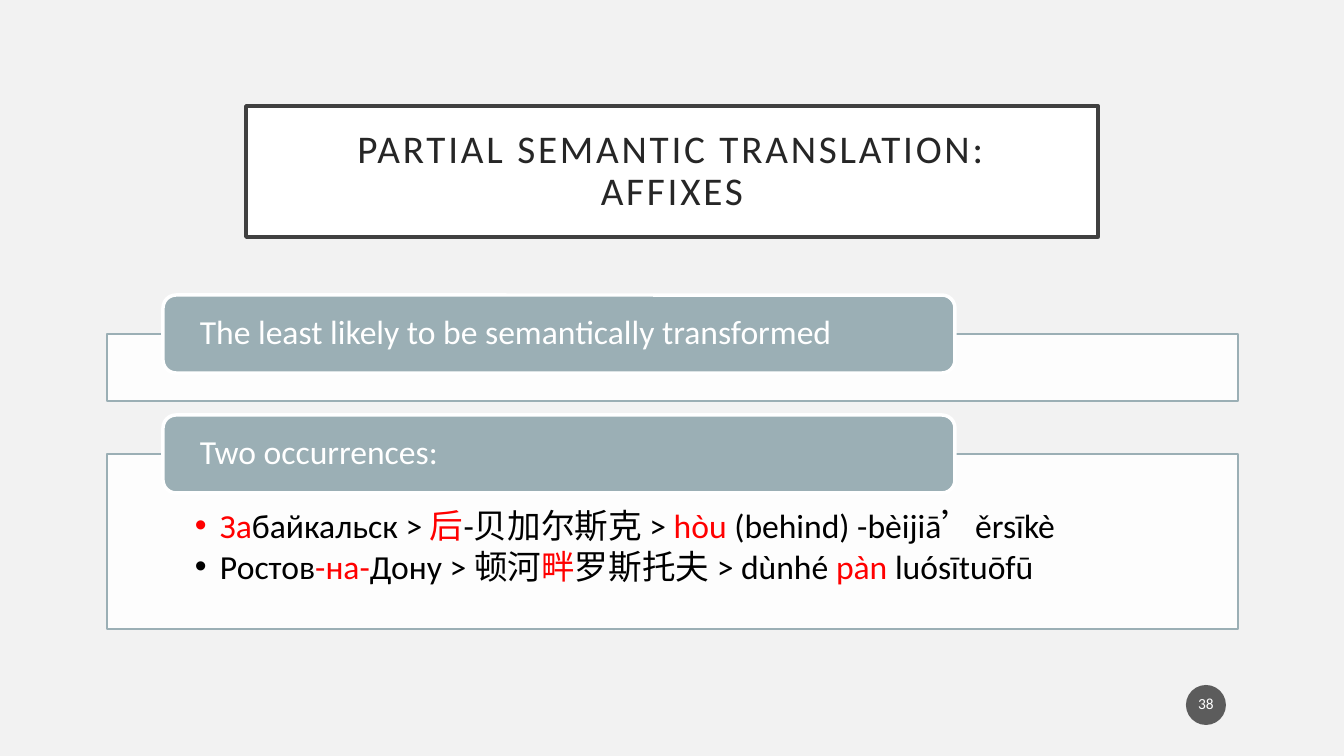
from lxml import etree
from pptx import Presentation
from pptx.dml.color import RGBColor
from pptx.enum.shapes import MSO_SHAPE
from pptx.enum.text import MSO_ANCHOR, PP_ALIGN
from pptx.oxml.ns import qn
from pptx.util import Pt

RECT, ROUNDED, OVAL = MSO_SHAPE.RECTANGLE, MSO_SHAPE.ROUNDED_RECTANGLE, MSO_SHAPE.OVAL
TOP, MIDDLE = MSO_ANCHOR.TOP, MSO_ANCHOR.MIDDLE
LEFT, CENTER = PP_ALIGN.LEFT, PP_ALIGN.CENTER

# Content
FONT = "Calibri"
RED, BLACK, WHITE, SLATE = "FF0000", "000000", "FFFFFF", "9BAFB5"
TITLE_LINES = ["PARTIAL SEMANTIC TRANSLATION:", "AFFIXES"]
PAGE_NUMBER = "38"
SECTIONS = [  # heading, box top, box height, bullets made of (text, colour)
    ("The least likely to be semantically transformed", 334, 67, []),
    ("Two occurrences:", 454, 175, [
        [("За", RED), ("байкальск > ", BLACK), ("后", RED), ("-贝加尔斯克 > ", BLACK),
         ("hòu", RED), (" (behind) -bèijiā’ěrsīkè", BLACK)],
        [("Ростов", BLACK), ("-на-", RED), ("Дону > 顿河", BLACK), ("畔", RED),
         ("罗斯托夫 > dùnhé ", BLACK), ("pàn", RED), (" luósītuōfū", BLACK)],
    ]),
]

# Layout in px
SLIDE_W, SLIDE_H = 1344, 756
BOX_X, BOX_W = 107, 1131
HEADING_X, HEADING_W, HEADING_H = 163, 792, 78
BULLET_INDENT = 25


def px(length):
    return round(length * 914400 / 100.8)


def rgb(color):
    return RGBColor.from_string(color)


def add_panel(kind, x, y, w, h, fill, line=None, line_pt=1, alpha=100,
              insets=(0, 0, 0, 0), anchor=MIDDLE):
    panel = slide.shapes.add_shape(kind, px(x), px(y), px(w), px(h))
    panel.shadow.inherit = False
    panel.fill.solid()
    panel.fill.fore_color.rgb = rgb(fill)
    if alpha < 100:
        fill_color = panel.fill._xPr.find(qn("a:solidFill"))[0]
        etree.SubElement(fill_color, qn("a:alpha"), val=str(alpha * 1000))
    if line:
        panel.line.color.rgb = rgb(line)
        panel.line.width = Pt(line_pt)
    else:
        panel.line.fill.background()
    frame = panel.text_frame
    frame.word_wrap = True
    frame.vertical_anchor = anchor
    (frame.margin_left, frame.margin_top,
     frame.margin_right, frame.margin_bottom) = map(px, insets)
    return frame


def style_paragraph(paragraph, align):
    paragraph.alignment = align
    paragraph.line_spacing = 0.9


def add_run(paragraph, text, size, color):
    run = paragraph.add_run()
    run.text = text
    run.font.name = FONT
    run.font.size = Pt(size)
    run.font.color.rgb = rgb(color)
    return run


def add_bullet(paragraph):
    properties = paragraph._p.get_or_add_pPr()
    properties.set("marL", str(px(BULLET_INDENT)))
    properties.set("indent", str(-px(BULLET_INDENT)))
    etree.SubElement(properties, qn("a:buFont"), typeface="Arial")
    etree.SubElement(properties, qn("a:buChar"), char="•")


prs = Presentation()
prs.slide_width, prs.slide_height = px(SLIDE_W), px(SLIDE_H)
slide = prs.slides.add_slide(prs.slide_layouts[6])
slide.background.fill.solid()
slide.background.fill.fore_color.rgb = rgb("F2F2F2")

# Title
title = add_panel(RECT, 246, 106, 852, 131, WHITE, "404040", 2.5,
                  insets=(20, 20, 20, 20)).paragraphs[0]
style_paragraph(title, CENTER)
for index, words in enumerate(TITLE_LINES):
    if index:
        title.add_line_break()
    title_run = add_run(title, words, 28, "262626")
    title_run.font._element.set("spc", "200")

# Page number
page = add_panel(OVAL, 1186, 685, 40, 40, "1D1D1D", alpha=70,
                 insets=(2, 5, 2, 5)).paragraphs[0]
style_paragraph(page, CENTER)
add_run(page, PAGE_NUMBER, 11, WHITE)

# Sections: a box with a heading centred on its top edge
for heading, box_y, box_h, bullets in SECTIONS:
    body = add_panel(RECT, BOX_X, box_y, BOX_W, box_h, WHITE, SLATE, alpha=90,
                     insets=(88, 55, 88, 19), anchor=TOP)
    for index, parts in enumerate(bullets):
        bullet = body.add_paragraph() if index else body.paragraphs[0]
        style_paragraph(bullet, LEFT)
        bullet.space_after = Pt(3.6)
        add_bullet(bullet)
        for text, color in parts:
            add_run(bullet, text, 24, color)

    label = add_panel(ROUNDED, HEADING_X, box_y - HEADING_H / 2, HEADING_W, HEADING_H,
                      SLATE, WHITE, 2.5, insets=(33, 0, 33, 0)).paragraphs[0]
    style_paragraph(label, LEFT)
    add_run(label, heading, 24, WHITE)

prs.save("out.pptx")
